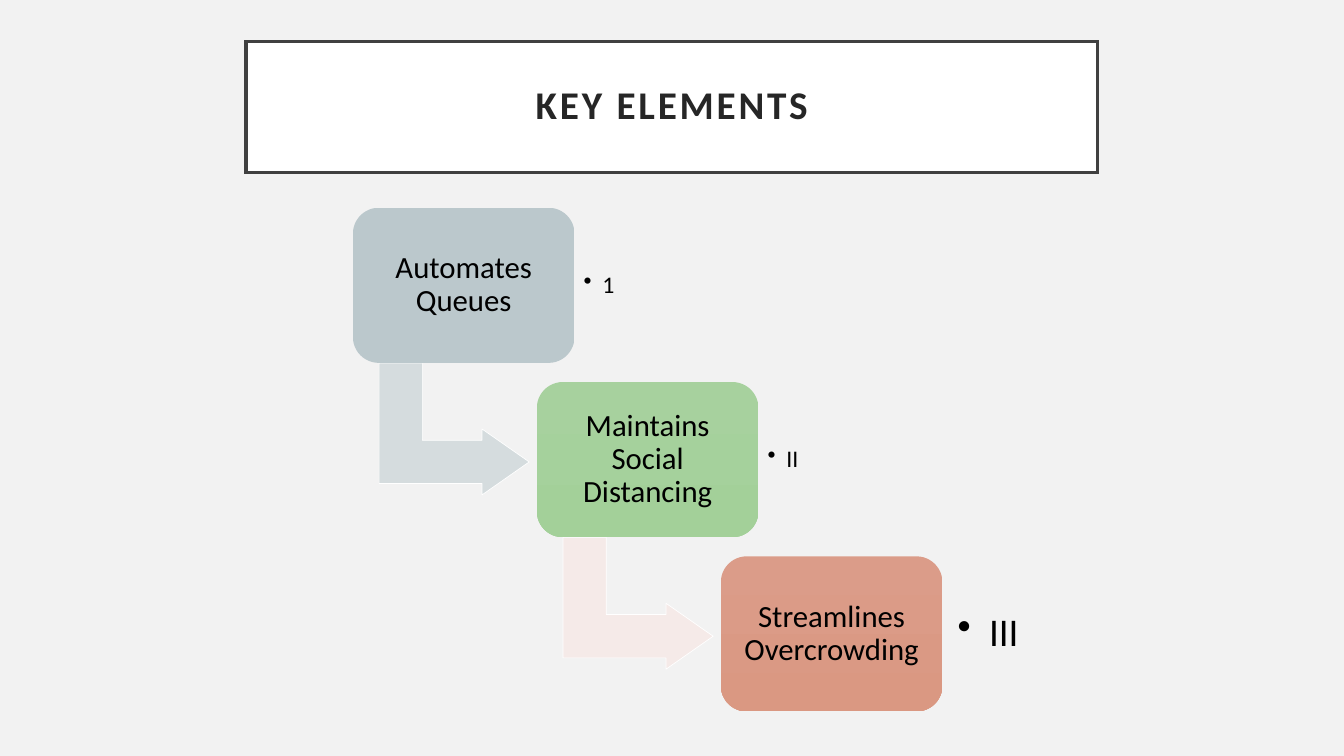
from typing import NamedTuple

from lxml import etree
from pptx import Presentation
from pptx.dml.color import RGBColor
from pptx.enum.shapes import MSO_SHAPE
from pptx.enum.text import MSO_ANCHOR, PP_ALIGN
from pptx.oxml.ns import qn
from pptx.util import Pt

RECT = MSO_SHAPE.RECTANGLE
ROUND_RECT = MSO_SHAPE.ROUNDED_RECTANGLE
BENT_ARROW = MSO_SHAPE.BENT_UP_ARROW
MIDDLE = MSO_ANCHOR.MIDDLE
CENTER, LEFT = PP_ALIGN.CENTER, PP_ALIGN.LEFT

COLORS = {
    "background": "F2F2F2",
    "white": "FFFFFF",
    "frame": "404040",
    "title": "262626",
    "text": "000000",
}
FONT = "Calibri"
BOX_LEFT, BOX_TOP = 252.1, 148.4
BOX_W, BOX_H = 158.3, 110.8
STEP_X, STEP_Y = 131.4, 124.5
ARROW_DX, ARROW_DY = 25.2, 104.4
ARROW_W, ARROW_H = 94.2, 107.2
LABEL_DY, LABEL_W, LABEL_H = 10.8, 115.2, 89.3


class Step(NamedTuple):
    text: str
    top_color: str
    bottom_color: str
    label: str
    label_size: float
    label_inset: float
    label_indent: float
    arrow_color: str = ""


STEPS = [
    Step("Automates Queues", "BBC8CC", "B8C6CB", "1", 17, 6.5, 13.5, "D5DCDE"),
    Step("Maintains Social Distancing", "A7D19E", "A3D099", "II", 17, 6.5, 13.5, "F5EAE8"),
    Step("Streamlines Overcrowding", "DB9C89", "DA9882", "III", 28, 10.8, 22.5),
]


def rgb(value: str) -> RGBColor:
    return RGBColor.from_string(value)


def add_shape(slide, kind, left: float, top: float, width: float, height: float):
    sp = slide.shapes.add_shape(kind, Pt(left), Pt(top), Pt(width), Pt(height))
    sp.shadow.inherit = False
    return sp


def set_solid(sp, fill: str, line: str, weight: float) -> None:
    sp.fill.solid()
    sp.fill.fore_color.rgb = rgb(fill)
    sp.line.color.rgb = rgb(line)
    sp.line.width = Pt(weight)


def set_text(sp, text: str, size: float, color: str, inset: float, align):
    tf = sp.text_frame
    tf.word_wrap = True
    tf.vertical_anchor = MIDDLE
    tf.margin_left = tf.margin_right = tf.margin_top = tf.margin_bottom = Pt(inset)
    p = tf.paragraphs[0]
    p.text = text
    p.alignment = align
    p.line_spacing = 0.9
    p.font.name = FONT
    p.font.size = Pt(size)
    p.font.color.rgb = rgb(color)
    return p


def add_title(slide, text: str) -> None:
    sp = add_shape(slide, RECT, 175.7, 29.5, 608.4, 93.6)
    set_solid(sp, COLORS["white"], COLORS["frame"], 2.5)
    etree.SubElement(sp.line._get_or_add_ln(), qn("a:miter"), lim="800000")
    p = set_text(sp, text, 28, COLORS["title"], 14.4, CENTER)
    p.font.bold = True
    p.runs[0].font._element.set("spc", "200")


def add_arrow(slide, left: float, top: float, color: str) -> None:
    sp = add_shape(slide, BENT_ARROW, left, top, ARROW_W, ARROW_H)
    sp.rotation = 90
    for i, value in enumerate((0.328, 0.25, 0.358)):
        sp.adjustments[i] = value
    set_solid(sp, color, COLORS["white"], 0.5)


def add_box(slide, left: float, top: float, step: Step) -> None:
    sp = add_shape(slide, ROUND_RECT, left, top, BOX_W, BOX_H)
    sp.adjustments[0] = 0.167
    sp.fill.gradient()
    sp.fill.gradient_angle = 270
    for stop, color in zip(sp.fill.gradient_stops, (step.top_color, step.bottom_color)):
        stop.color.rgb = rgb(color)
    sp.line.fill.background()
    set_text(sp, step.text, 22, COLORS["text"], 6.5, CENTER)


def add_label(slide, left: float, top: float, step: Step) -> None:
    sp = slide.shapes.add_textbox(Pt(left), Pt(top), Pt(LABEL_W), Pt(LABEL_H))
    p = set_text(sp, step.label, step.label_size, COLORS["text"], step.label_inset, LEFT)
    pPr = p._p.get_or_add_pPr()
    indent = Pt(step.label_indent)
    pPr.set("marL", str(indent))
    pPr.set("indent", str(-indent))
    bullet = etree.Element(qn("a:buChar"), char="•")
    pPr.find(qn("a:lnSpc")).addnext(bullet)


def add_step(slide, index: int, step: Step) -> None:
    left = BOX_LEFT + index * STEP_X
    top = BOX_TOP + index * STEP_Y
    if step.arrow_color:
        add_arrow(slide, left + ARROW_DX, top + ARROW_DY, step.arrow_color)
    add_box(slide, left, top, step)
    add_label(slide, left + BOX_W, top + LABEL_DY, step)


prs = Presentation()
prs.slide_width, prs.slide_height = Pt(960), Pt(540)
slide = prs.slides.add_slide(prs.slide_layouts[6])
slide.background.fill.solid()
slide.background.fill.fore_color.rgb = rgb(COLORS["background"])
add_title(slide, "KEY ELEMENTS")
for index, step in enumerate(STEPS):
    add_step(slide, index, step)
prs.save("out.pptx")
